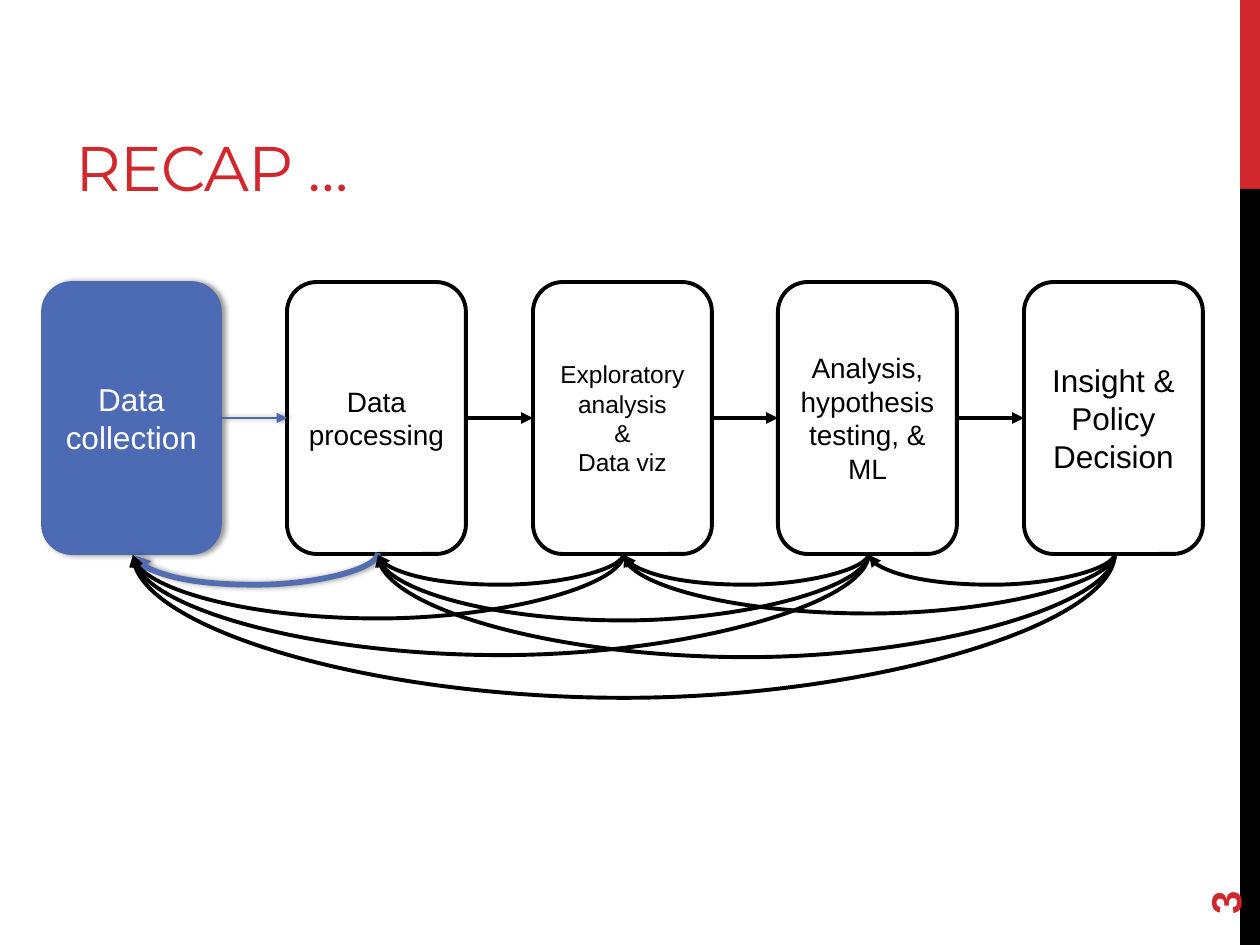
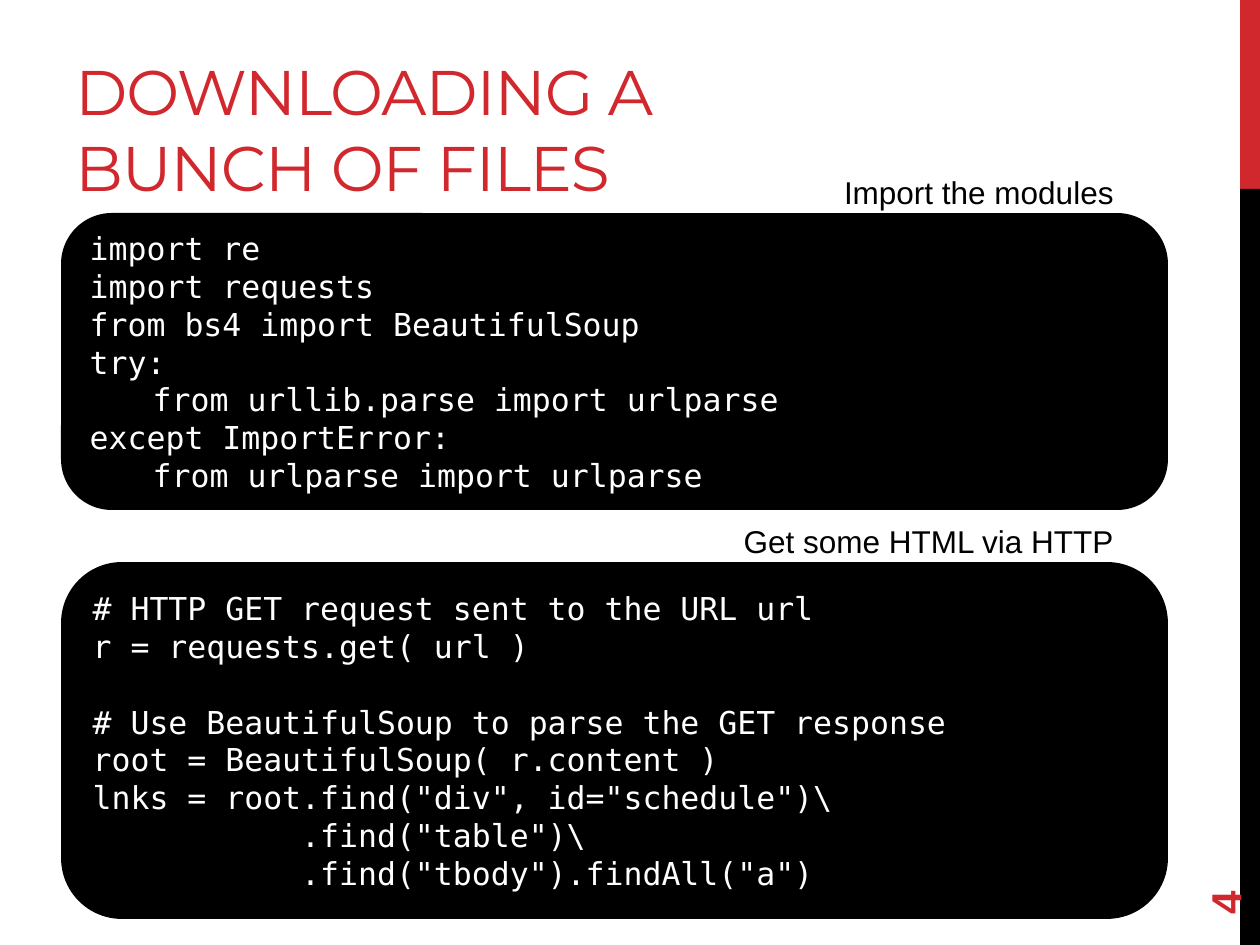
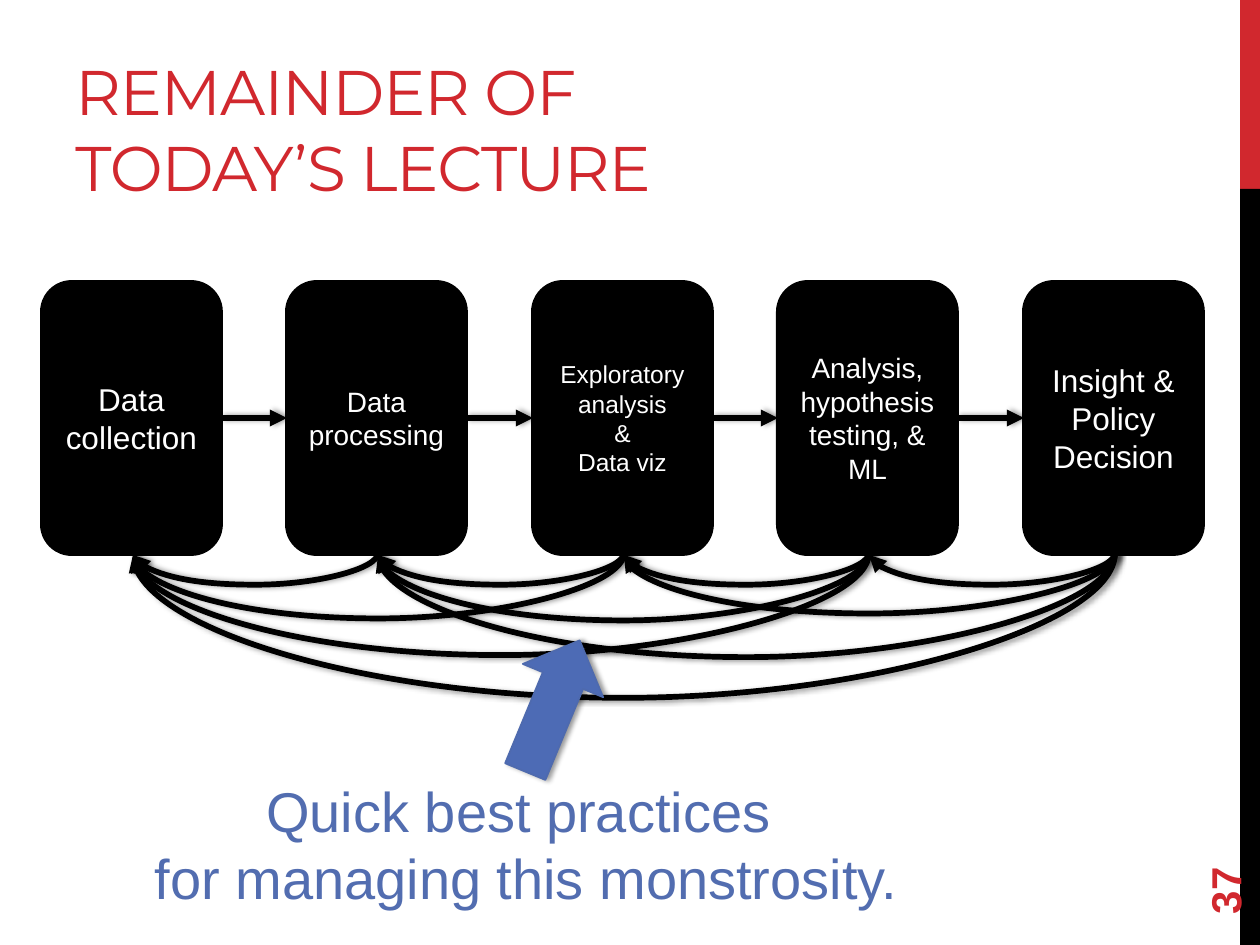
from lxml import etree
from pptx import Presentation
from pptx import util as u
from pptx.dml.color import RGBColor
from pptx.enum import shapes, text
from pptx.oxml.ns import qn

EMU_PER_PX = u.Inches(1) / 126
SLIDE_WIDTH, SLIDE_HEIGHT = 1260, 945

RED = RGBColor(0xD1, 0x28, 0x2E)
BLACK = RGBColor(0, 0, 0)
WHITE = RGBColor(0xFF, 0xFF, 0xFF)
BLUE_FILL = RGBColor(0x4D, 0x6B, 0xB5)
BLUE_EDGE = RGBColor(0x4E, 0x6A, 0xAE)
BLUE = RGBColor(0x52, 0x6D, 0xB0)

BODY_FONT, TITLE_FONT, CODE_FONT = "Arial", "Montserrat", "DejaVu Sans Mono"
LEFT, CENTER, RIGHT = text.PP_ALIGN.LEFT, text.PP_ALIGN.CENTER, text.PP_ALIGN.RIGHT
TOP, MIDDLE, BOTTOM = text.MSO_ANCHOR.TOP, text.MSO_ANCHOR.MIDDLE, text.MSO_ANCHOR.BOTTOM
ROUNDED = shapes.MSO_SHAPE.ROUNDED_RECTANGLE

STEPS = [
    (["Data collection"], 18),
    (["Data processing"], 16),
    (["Exploratory analysis", "&", "Data viz"], 14),
    (["Analysis, hypothesis testing, & ML"], 16),
    (["Insight & Policy Decision"], 18),
]
FIRST_LEFT, LAST_LEFT = 42, 1024
STEP_TOP, STEP_WIDTH, STEP_HEIGHT = 282, 179, 272
# How far each feedback curve hangs down: for each step, nearest target first
CURVE_DEPTHS = [[], [32], [32, 66], [32, 68, 103], [32, 61, 105, 146]]
CURVE_TOP, CURVE_DROP = 553, 2

IMPORT_CODE = [
    "import re",
    "import requests",
    "from bs4 import BeautifulSoup",
    "try:",
    "\tfrom urllib.parse import urlparse",
    "except ImportError:",
    "\tfrom urlparse import urlparse",
]
REQUEST_CODE = [
    "# HTTP GET request sent to the URL url",
    "r = requests.get( url )",
    "",
    "# Use BeautifulSoup to parse the GET response",
    "root = BeautifulSoup( r.content )",
    'lnks = root.find("div", id="schedule")\\',
    '           .find("table")\\',
    '           .find("tbody").findAll("a")',
]


def px(length):
    return u.Emu(round(length * EMU_PER_PX))


def add_xml(parent, tag, **attributes):
    child = etree.SubElement(parent, qn(tag))
    for name, value in attributes.items():
        child.set(name, str(value))
    return child


def set_effects(shape, shadow):
    """Give the shape a soft shadow to its right, or no effect at all."""
    effects = add_xml(shape._element.spPr, "a:effectLst")
    if shadow:
        outer = add_xml(effects, "a:outerShdw", blurRad=u.Pt(3.1), dist=u.Pt(1.8),
                        dir=0, rotWithShape=0)
        color = add_xml(outer, "a:srgbClr", val=BLACK)
        add_xml(color, "a:alpha", val=40000)


def write_text(shape, lines, size, color, font=BODY_FONT, bold=False,
               align=LEFT, anchor=MIDDLE, spacing=None):
    """Fill the shape with one paragraph a line; an empty line becomes space before."""
    frame = shape.text_frame
    for name, value in {"word_wrap": True, "vertical_anchor": anchor}.items():
        setattr(frame, name, value)
    paragraph, gap = None, False
    for line in lines:
        if not line:
            gap = True
            continue
        paragraph = frame.add_paragraph() if paragraph else frame.paragraphs[0]
        paragraph.alignment = align
        if gap:
            paragraph.space_before = u.Pt(1.2 * size)
            gap = False
        if line.startswith("\t"):
            tabs = add_xml(paragraph._p.get_or_add_pPr(), "a:tabLst")
            add_xml(tabs, "a:tab", pos=px(63), algn="l")
        run = paragraph.add_run()
        run.text = line
        for name, value in {"name": font, "size": u.Pt(size), "bold": bold}.items():
            setattr(run.font, name, value)
        run.font.color.rgb = color
        if spacing:
            run._r.get_or_add_rPr().set("spc", str(spacing))


def add_text(slide, left, top, width, height, lines, size, color, **style):
    box = slide.shapes.add_textbox(px(left), px(top), px(width), px(height))
    write_text(box, lines, size, color, **style)
    return box


def add_block(slide, kind, left, top, width, height, fill, edge=None,
              edge_width=2.25, shadow=False):
    shape = slide.shapes.add_shape(kind, px(left), px(top), px(width), px(height))
    shape.fill.solid()
    shape.fill.fore_color.rgb = fill
    if edge is None:
        shape.line.fill.background()
    else:
        shape.line.color.rgb = edge
        shape.line.width = u.Pt(edge_width)
    set_effects(shape, shadow)
    return shape


def finish_arrow(connector, color, width, shadow):
    connector.line.color.rgb = color
    connector.line.width = u.Pt(width)
    add_xml(connector._element.spPr.find(qn("a:ln")), "a:tailEnd", type="triangle")
    set_effects(connector, shadow)


def add_step_arrow(slide, source, target, **style):
    arrow = slide.shapes.add_connector(shapes.MSO_CONNECTOR.STRAIGHT, 0, 0, 0, 0)
    arrow.begin_connect(source, 3)
    arrow.end_connect(target, 1)
    finish_arrow(arrow, **style)


def add_feedback_curve(slide, start_x, end_x, depth, **style):
    """Hang a curve below the steps: an upright connector turned by 90 degrees."""
    span = start_x - end_x
    left = (start_x + end_x - CURVE_DROP) / 2
    top = CURVE_TOP + (CURVE_DROP - span) / 2
    curve = slide.shapes.add_connector(
        shapes.MSO_CONNECTOR.CURVE, px(left), px(top),
        px(left + CURVE_DROP), px(top + span))
    properties = curve._element.spPr
    properties.find(qn("a:xfrm")).set("rot", "5400000")
    geometry = properties.find(qn("a:prstGeom"))
    guides = geometry.find(qn("a:avLst"))
    if guides is None:
        guides = add_xml(geometry, "a:avLst")
    add_xml(guides, "a:gd", name="adj1", fmla=f"val {depth * 100000 // CURVE_DROP}")
    finish_arrow(curve, **style)


def add_pipeline(slide, step_style, text_color, arrow_style, first=None):
    """Draw steps, arrows and curves; first holds the styles of a highlighted start."""
    first = first or {}
    lefts = [FIRST_LEFT + (LAST_LEFT - FIRST_LEFT) * index // (len(STEPS) - 1)
             for index in range(len(STEPS))]
    anchors = [left + STEP_WIDTH // 2 + 2 for left in lefts]
    previous = None
    for index, (lines, size) in enumerate(STEPS):
        style = first.get("step", step_style) if index == 0 else step_style
        color = first.get("text", text_color) if index == 0 else text_color
        step = add_block(slide, ROUNDED, lefts[index], STEP_TOP, STEP_WIDTH,
                         STEP_HEIGHT, **style)
        write_text(step, lines, size, color, align=CENTER)
        if previous:
            style = first.get("arrow", arrow_style) if index == 1 else arrow_style
            add_step_arrow(slide, previous, step, **style)
        for back, depth in enumerate(CURVE_DEPTHS[index], 1):
            style = first.get("curve", arrow_style) if index == 1 else arrow_style
            add_feedback_curve(slide, anchors[index], anchors[index - back], depth, **style)
        previous = step


def add_code(slide, top, height, label, lines):
    block = add_block(slide, ROUNDED, 63, top, 1103, height, BLACK, BLACK)
    write_text(block, lines, 18, WHITE, font=CODE_FONT)
    add_text(slide, 725, top - 48, 401, 51, [label], 18, BLACK, align=RIGHT, anchor=TOP)


def add_base_slide(presentation, title, number):
    slide = presentation.slides.add_slide(presentation.slide_layouts[6])
    band = shapes.MSO_SHAPE.RECTANGLE
    add_block(slide, band, 1240, 0, 20, 189, RED)
    add_block(slide, band, 1240, 189, 20, 756, BLACK)
    add_text(slide, 63, 21, 798, 189, [title], 36, RED, font=TITLE_FONT,
             anchor=BOTTOM, spacing=-60)
    page = add_text(slide, 1134, 811, 181, 50, [str(number)], 24, RED, bold=True)
    page.rotation = 270
    return slide


def main():
    presentation = Presentation()
    presentation.slide_width = px(SLIDE_WIDTH)
    presentation.slide_height = px(SLIDE_HEIGHT)

    blue_shape = {"fill": BLUE_FILL, "edge": BLUE_EDGE, "edge_width": 1, "shadow": True}

    recap = add_base_slide(presentation, "RECAP …", 3)
    add_pipeline(
        recap, {"fill": WHITE, "edge": BLACK}, BLACK,
        {"color": BLACK, "width": 2.25, "shadow": False},
        first={
            "step": blue_shape,
            "text": WHITE,
            "arrow": {"color": BLUE_EDGE, "width": 1, "shadow": True},
            "curve": {"color": BLUE, "width": 3.25, "shadow": True},
        })

    download = add_base_slide(presentation, "DOWNLOADING A BUNCH OF FILES", 4)
    add_code(download, 215, 293, "Import the modules", IMPORT_CODE)
    add_code(download, 564, 353, "Get some HTML via HTTP", REQUEST_CODE)

    remainder = add_base_slide(presentation, "REMAINDER OF TODAY’S LECTURE", 37)
    add_pipeline(remainder, {"fill": BLACK, "edge": BLACK}, WHITE,
                 {"color": BLACK, "width": 3.25, "shadow": True})
    add_text(remainder, 66, 770, 921, 148,
             ["Quick best practices ", "for managing this monstrosity."],
             32, BLUE, align=CENTER, anchor=TOP)
    pointer = add_block(remainder, shapes.MSO_SHAPE.UP_ARROW, 509, 635, 87, 142, **blue_shape)
    pointer.rotation = 22.5

    presentation.save("out.pptx")


if __name__ == "__main__":
    main()
